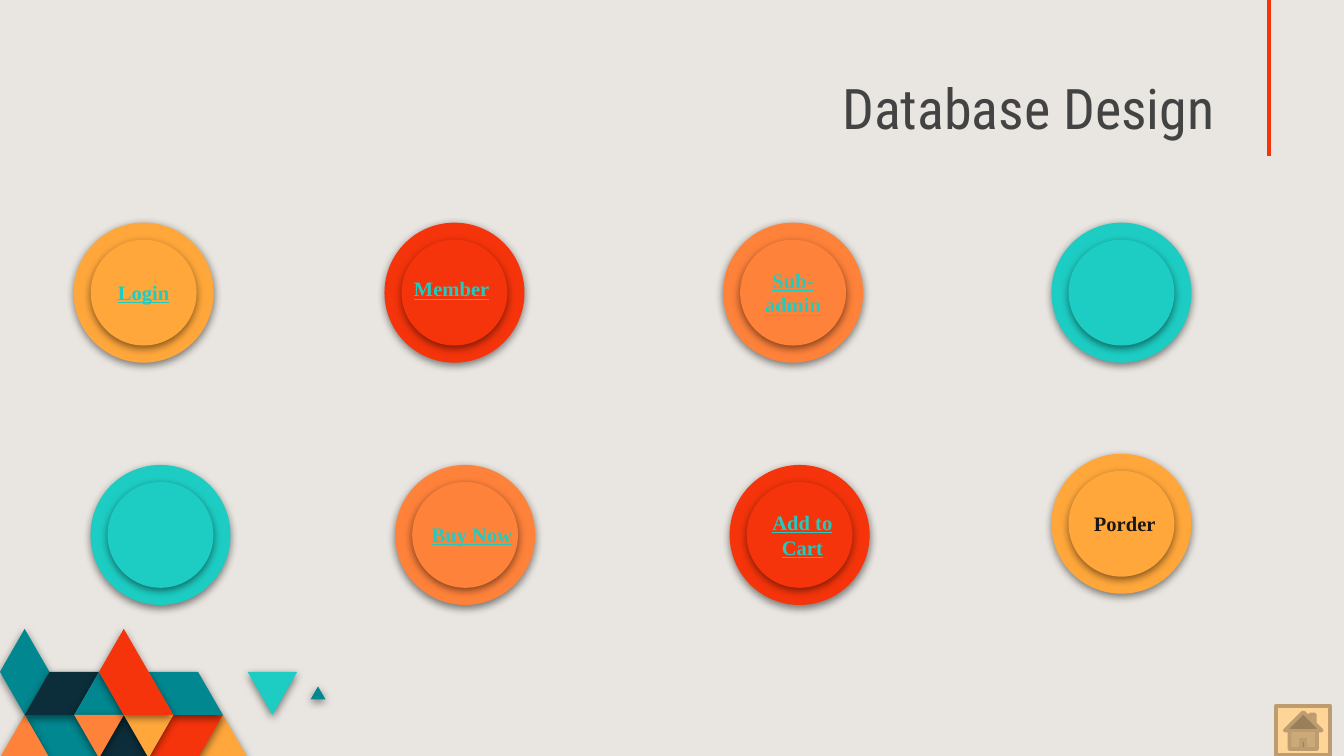
from dataclasses import dataclass

from lxml import etree
from pptx import Presentation
from pptx.dml.color import RGBColor
from pptx.enum.shapes import MSO_CONNECTOR, MSO_SHAPE
from pptx.enum.text import MSO_ANCHOR, MSO_AUTO_SIZE, PP_ALIGN
from pptx.oxml.ns import qn
from pptx.util import Pt

STRAIGHT = MSO_CONNECTOR.STRAIGHT
OVAL, HOME = MSO_SHAPE.OVAL, MSO_SHAPE.ACTION_BUTTON_HOME
TOP, BOTTOM = MSO_ANCHOR.TOP, MSO_ANCHOR.BOTTOM
CENTER, RIGHT = PP_ALIGN.CENTER, PP_ALIGN.RIGHT
NO_AUTOFIT = MSO_AUTO_SIZE.NONE


@dataclass(frozen=True)
class Theme:
    background: str = "E9E6E1"
    title: str = "434343"
    ink: str = "1A1813"
    red: str = "F5340B"
    orange: str = "FF823B"
    amber: str = "FFA73B"
    aqua: str = "1DCDC3"
    teal: str = "018790"
    navy: str = "0C2E3A"
    button: str = "FFD497"
    button_edge: str = "BD9D70"
    shadow: str = "000000"
    title_font: str = "Roboto Condensed"
    label_font: str = "Times New Roman"
    title_size: float = 30
    label_size: float = 11


THEME = Theme()


def rgb(value):
    return RGBColor.from_string(value)


def write(frame, text, *, font, size, color, align=CENTER, anchor=TOP,
          bold=False, underline=False, spacing=1.0, inset=(7.2, 3.6)):
    frame.word_wrap = True
    frame.auto_size = NO_AUTOFIT
    frame.vertical_anchor = anchor
    frame.margin_left = frame.margin_right = Pt(inset[0])
    frame.margin_top = frame.margin_bottom = Pt(inset[1])
    paragraph = frame.paragraphs[0]
    paragraph.alignment = align
    paragraph.line_spacing = spacing
    run = paragraph.add_run()
    run.text = text
    run.font.name = font
    run.font.size = Pt(size)
    run.font.color.rgb = rgb(color)
    run.font.bold = bold
    run.font.underline = underline


def paint_raised(shape, color):
    shape.fill.solid()
    shape.fill.fore_color.rgb = rgb(color)
    shape.line.fill.background()
    shape.shadow.inherit = False
    effects = shape._element.spPr.find(qn("a:effectLst"))
    shadow = etree.SubElement(
        effects, qn("a:outerShdw"), blurRad=str(Pt(4.5)), dist=str(Pt(1.5)),
        dir="5400000", algn="bl", rotWithShape="0")
    tint = etree.SubElement(shadow, qn("a:srgbClr"), val=THEME.shadow)
    etree.SubElement(tint, qn("a:alpha"), val="50000")


def add_heading(slide, left, top, width, height):
    title = slide.shapes.title
    title.left, title.top = Pt(left), Pt(top)
    title.width, title.height = Pt(width), Pt(height)
    write(title.text_frame, "Database Design", font=THEME.title_font,
          size=THEME.title_size, color=THEME.title, align=RIGHT,
          anchor=BOTTOM, spacing=0.8, inset=(7.2, 7.2))


def add_accent_rule(slide, x, top, bottom):
    rule = slide.shapes.add_connector(STRAIGHT, Pt(x), Pt(top), Pt(x), Pt(bottom))
    rule.line.color.rgb = rgb(THEME.red)
    rule.line.width = Pt(2.25)
    etree.SubElement(rule._element.spPr, qn("a:effectLst"))


def add_mosaic(slide, left, top, half_side=13.27, row_height=23.04):
    tiles = [
        (THEME.amber, [(8, 3), (9, 2), (10, 3)]),
        (THEME.red, [(9, 2), (7, 2), (6, 3), (8, 3)]),
        (THEME.teal, [(4, 3), (3, 2), (1, 2), (2, 3)]),
        (THEME.orange, [(2, 3), (1, 2), (0, 3)]),
        (THEME.navy, [(6, 3), (5, 2), (4, 3)]),
        (THEME.teal, [(9, 2), (8, 1), (6, 1), (7, 2)]),
        (THEME.teal, [(13.14, 1.64), (12.84, 1.34), (12.54, 1.64)]),
        (THEME.aqua, [(12, 1), (10, 1), (11, 2)]),
        (THEME.teal, [(2, 1), (1, 0), (0, 1), (1, 2)]),
        (THEME.navy, [(4, 1), (2, 1), (1, 2), (3, 2)]),
        (THEME.teal, [(5, 2), (4, 1), (3, 2)]),
        (THEME.orange, [(5, 2), (3, 2), (4, 3)]),
        (THEME.amber, [(7, 2), (5, 2), (6, 3)]),
        (THEME.red, [(7, 2), (5, 0), (4, 1), (5, 2)]),
    ]
    for color, corners in tiles:
        start, *rest = [(Pt(left + column * half_side), Pt(top + row * row_height))
                        for column, row in corners]
        outline = slide.shapes.build_freeform(*start)
        outline.add_line_segments(rest, close=True)
        paint_raised(outline.convert_to_shape(), color)


def add_badge(slide, center_x, center_y, color, diameters=(75, 56.7)):
    for diameter in diameters:
        disc = slide.shapes.add_shape(
            OVAL, Pt(center_x - diameter / 2), Pt(center_y - diameter / 2),
            Pt(diameter), Pt(diameter))
        paint_raised(disc, color)


def add_label(slide, center_x, center_y, text, lines=1, linked=True, width=60.5):
    height = 8 + 13 * lines
    label = slide.shapes.add_textbox(
        Pt(center_x - width / 2), Pt(center_y - height / 2), Pt(width), Pt(height))
    write(label.text_frame, text, font=THEME.label_font, size=THEME.label_size,
          color=THEME.aqua if linked else THEME.ink, bold=True, underline=linked)


def add_tables_overview(slide, left, top):
    badges = [
        (0, 0, THEME.amber),
        (166.5, 0, THEME.red),
        (347.9, 0, THEME.orange),
        (523.8, 0, THEME.aqua),
        (9, 129.8, THEME.aqua),
        (172.2, 129.8, THEME.orange),
        (351.4, 129.8, THEME.red),
        (523.8, 123.8, THEME.amber),
    ]
    labels = [
        (0, 0, "Login", {}),
        (165, -1.8, "Member", {}),
        (347.9, 0, "Sub-admin", {"lines": 2}),
        (525.6, 123.8, "Porder", {"linked": False}),
        (352.9, 129.8, "Add to Cart", {"lines": 2}),
        (175.9, 129.8, "Buy Now", {}),
    ]
    for x, y, color in badges:
        add_badge(slide, left + x, top + y, color)
    for x, y, text, options in labels:
        add_label(slide, left + x, top + y, text, **options)


def add_home_button(slide, left, top, width, height):
    home = slide.shapes.add_shape(HOME, Pt(left), Pt(top), Pt(width), Pt(height))
    home.shadow.inherit = False
    home.fill.solid()
    home.fill.fore_color.rgb = rgb(THEME.button)
    home.line.color.rgb = rgb(THEME.button_edge)
    home.line.width = Pt(2)


def main():
    deck = Presentation()
    deck.slide_width, deck.slide_height = Pt(720), Pt(405)
    slide = deck.slides.add_slide(deck.slide_layouts[5])
    slide.background.fill.solid()
    slide.background.fill.fore_color.rgb = rgb(THEME.background)
    add_accent_rule(slide, 679.7, -126, 83.5)
    add_mosaic(slide, 0, 336.9)
    add_heading(slide, 360, 36.7, 298, 45.4)
    add_tables_overview(slide, 77, 156.8)
    add_home_button(slide, 683.7, 378.2, 29, 26.4)
    deck.save("out.pptx")


if __name__ == "__main__":
    main()
